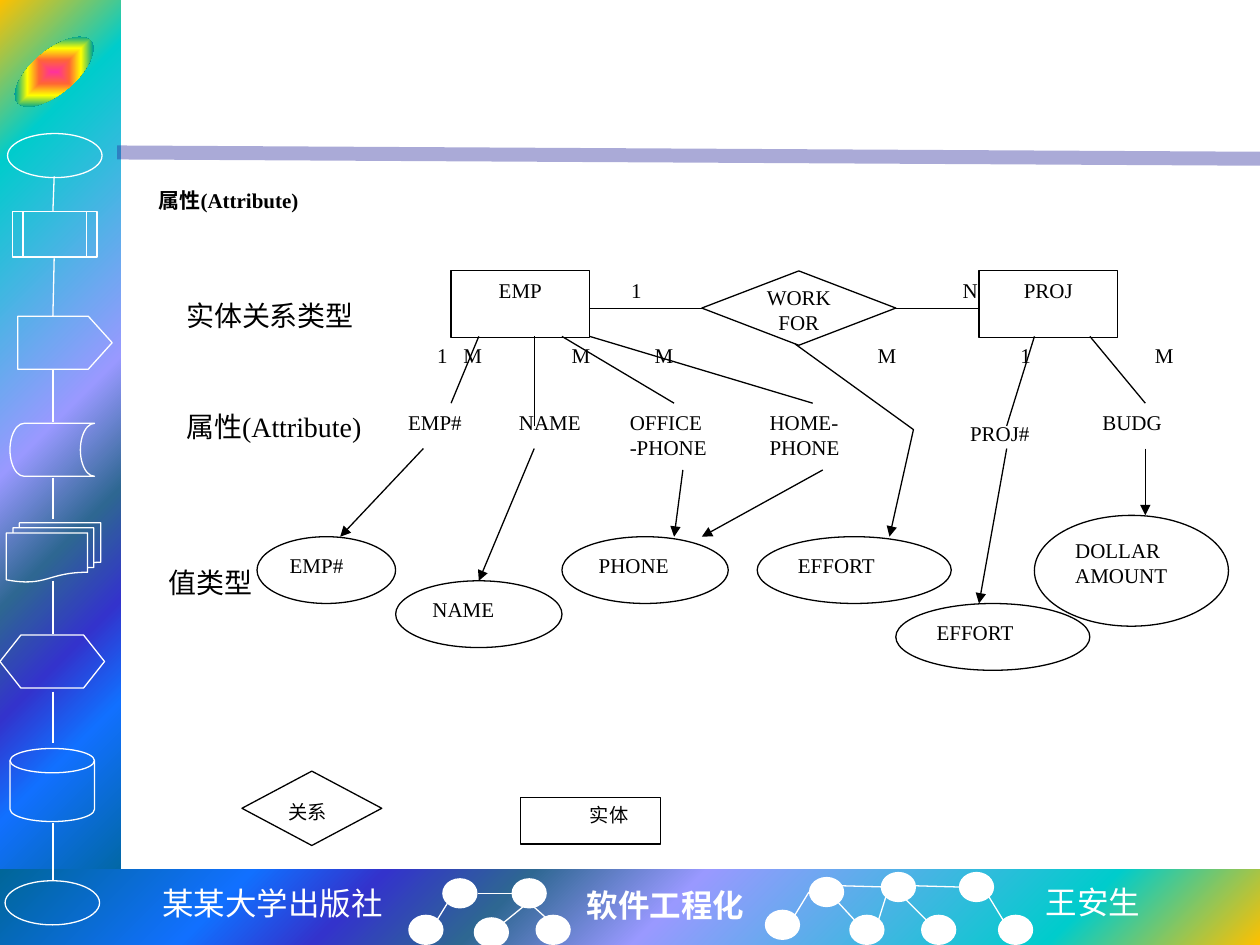
from lxml.etree import SubElement
from pptx import Presentation
from pptx.dml.color import RGBColor
from pptx.enum.shapes import MSO_CONNECTOR, MSO_SHAPE
from pptx.enum.text import MSO_ANCHOR, PP_ALIGN
from pptx.oxml import parse_xml
from pptx.oxml.ns import nsdecls, qn
from pptx.util import Inches, Pt

BLACK, WHITE = "000000", "FFFFFF"
SERIF, CJK = "Times New Roman", "Noto Sans CJK SC"
BAND_STOPS = [(0, "FFC000"), (16, "00CCCC"), (47, "9999FF"), (60, "2E6792"),
              (71, "3333CC"), (81, "1170FF"), (100, "006699")]
BADGE_STOPS = [(0, "FF3399"), (25, "FF6633"), (50, "FFFF00"), (75, "01A78F"), (100, "3366FF")]


def color(value):
    return RGBColor.from_string(value)


def write_text(shape, text, size=12, font=SERIF, ink=BLACK, bold=False, align=PP_ALIGN.LEFT,
               indent=0, wrap=True, anchor=MSO_ANCHOR.TOP, margins=(0.1, 0.05, 0.1, 0.05)):
    frame = shape.text_frame
    frame.word_wrap = wrap
    frame.vertical_anchor = anchor
    frame.margin_left, frame.margin_top, frame.margin_right, frame.margin_bottom = map(Inches, margins)
    for index, line in enumerate(text.split("\n")):
        paragraph = frame.add_paragraph() if index else frame.paragraphs[0]
        paragraph.alignment = align
        if indent:
            paragraph._p.get_or_add_pPr().set("indent", str(Inches(indent)))
        run = paragraph.add_run()
        run.text = line
        run.font.size, run.font.name, run.font.bold = Pt(size), font, bold
        run.font.color.rgb = color(ink)
        SubElement(run._r.get_or_add_rPr(), qn("a:ea")).set("typeface", CJK)


class Diagram:
    def __init__(self, slide, line_width=0.75):
        self.shapes = slide.shapes
        self.line_width = line_width

    def stroke(self, item, ink, width=None, arrow=False, opacity=None):
        item.line.color.rgb = color(ink)
        item.line.width = Pt(width or self.line_width)
        outline = item.line._get_or_add_ln()
        if opacity:
            SubElement(outline.find(".//" + qn("a:srgbClr")), qn("a:alpha")).set("val", str(opacity * 1000))
        if arrow:
            SubElement(outline, qn("a:tailEnd")).set("type", "triangle")

    def shape(self, kind, left, top, width, height, fill=None, line=BLACK, text=None, **style):
        shape = self.shapes.add_shape(kind, *map(Inches, (left, top, width, height)))
        shape.shadow.inherit = False
        if fill:
            shape.fill.solid()
            shape.fill.fore_color.rgb = color(fill)
        else:
            shape.fill.background()
        if line:
            self.stroke(shape, line)
        else:
            shape.line.fill.background()
        if text:
            write_text(shape, text, **style)
        return shape

    def gradient(self, shape, stops, kind, focus):
        stop_xml = "".join(f'<a:gs pos="{position * 1000}"><a:srgbClr val="{value}"/></a:gs>'
                           for position, value in stops)
        edges = " ".join(f'{side}="{value * 1000}"' for side, value in zip("ltrb", focus))
        fill = parse_xml(f'<a:gradFill {nsdecls("a")} rotWithShape="1"><a:gsLst>{stop_xml}</a:gsLst>'
                         f'<a:path path="{kind}"><a:fillToRect {edges}/></a:path></a:gradFill>')
        properties = shape._element.spPr
        properties.replace(properties.find(qn("a:noFill")), fill)

    def text(self, text, left, top, width=0.88, height=0.53, **style):
        box = self.shapes.add_textbox(*map(Inches, (left, top, width, height)))
        write_text(box, text, **style)

    def line(self, x1, y1, x2, y2, ink=BLACK, **style):
        line = self.shapes.add_connector(MSO_CONNECTOR.STRAIGHT, *map(Inches, (x1, y1, x2, y2)))
        self.stroke(line, ink, **style)
        SubElement(line._element.spPr, qn("a:effectLst"))

    def polyline(self, points, **style):
        points = [(Inches(x), Inches(y)) for x, y in points]
        builder = self.shapes.build_freeform(*points[0])
        builder.add_line_segments(points[1:], close=False)
        shape = builder.convert_to_shape()
        shape.shadow.inherit = False
        shape.fill.background()
        self.stroke(shape, BLACK, **style)


presentation = Presentation()
presentation.slide_width, presentation.slide_height = Inches(10), Inches(7.5)
diagram = Diagram(presentation.slides.add_slide(presentation.slide_layouts[6]))

# Gradient bands, rule and badge
for bounds, focus in [((0, 0, 0.96, 7.09), (0, 0, 100, 100)), ((0, 6.9, 10, 0.6), (100, 100, 0, 0))]:
    diagram.gradient(diagram.shape(MSO_SHAPE.RECTANGLE, *bounds, line=None), BAND_STOPS, "circle", focus)
diagram.line(0.93, 1.21, 10, 1.26, ink="262699", width=8, opacity=39)
badge = diagram.shape(MSO_SHAPE.OVAL, 0.05, 0.4, 0.76, 0.34, line=None)
badge.rotation = -40
diagram.gradient(badge, BADGE_STOPS, "rect", (50, 50, 50, 50))

# Flowchart chain in the side band
for kind, *bounds in [
    (MSO_SHAPE.OVAL, 0.06, 1.06, 0.75, 0.35),
    (MSO_SHAPE.FLOWCHART_PREDEFINED_PROCESS, 0.1, 1.68, 0.67, 0.36),
    (MSO_SHAPE.PENTAGON, 0.14, 2.51, 0.75, 0.42),
    (MSO_SHAPE.FLOWCHART_STORED_DATA, 0.08, 3.36, 0.67, 0.42),
    (MSO_SHAPE.FLOWCHART_MULTIDOCUMENT, 0.05, 4.15, 0.75, 0.47),
    (MSO_SHAPE.FLOWCHART_PREPARATION, 0, 5.04, 0.83, 0.42),
    (MSO_SHAPE.FLOWCHART_MAGNETIC_DISK, 0.08, 5.94, 0.67, 0.58),
    (MSO_SHAPE.OVAL, 0.04, 6.99, 0.75, 0.35),
]:
    step = diagram.shape(kind, *bounds, line=WHITE)
    if kind == MSO_SHAPE.PENTAGON:
        step.adjustments[0] = 0.45
for x, top, bottom in [(0.43, 1.4, 1.68), (0.43, 2.05, 2.51), (0.42, 2.93, 3.35), (0.42, 3.79, 4.12),
                       (0.42, 4.61, 5.03), (0.42, 5.49, 5.9), (0.42, 6.53, 6.99)]:
    diagram.line(x, top, 0.42, bottom, ink=WHITE)

# Footer trees and captions
for left, top in [(3.51, 6.97), (4.06, 6.97), (3.24, 7.26), (3.76, 7.28), (4.25, 7.26), (6.07, 7.22),
                  (6.42, 6.96), (6.99, 6.92), (7.61, 6.92), (6.74, 7.26), (7.31, 7.26), (7.92, 7.26)]:
    diagram.shape(MSO_SHAPE.OVAL, left, top, 0.28, 0.24, fill=WHITE, line=None)
for ends in [(3.47, 7.3, 3.55, 7.17), (4, 7.32, 4.16, 7.19), (4.06, 7.09, 3.79, 7.09),
             (4.34, 7.29, 4.24, 7.2), (6.31, 7.26, 6.42, 7.08), (6.68, 7.03, 7.03, 7.04),
             (6.78, 7.3, 6.65, 7.16), (6.97, 7.31, 7.03, 7.12), (7.35, 7.3, 7.15, 7.1),
             (7.26, 7.03, 7.61, 7.04), (7.96, 7.3, 7.85, 7.12)]:
    diagram.line(*ends, ink=WHITE)
for caption, left, top, width, font, bold in [
    ("某某大学出版社", 1.19, 6.97, 1.97, "Courier New", False),
    ("软件工程化", 4.56, 6.98, 1.46, SERIF, True),
    ("王安生", 8.2, 6.96, 0.96, CJK, False),
]:
    diagram.text(caption, left, top, width, 0.4, size=18, font=font, ink=WHITE, bold=bold, wrap=False)

# Heading and row labels
diagram.text("属性(Attribute)", 1.16, 1.44, 2.42, bold=True)
for label, left, top, width in [("实体关系类型", 1.38, 2.32, 1.76), ("属性(Attribute)", 1.38, 3.2, 1.76),
                                ("值类型", 1.24, 4.44, 0.88)]:
    diagram.text(label, left, top, width, size=16)

# Entities, relationship and legend
for name, left in [("EMP", 3.58), ("PROJ", 7.77)]:
    diagram.shape(MSO_SHAPE.RECTANGLE, left, 2.15, 1.1, 0.53, text=name, align=PP_ALIGN.CENTER)
diamond_style = dict(align=PP_ALIGN.CENTER, anchor=MSO_ANCHOR.MIDDLE)
diagram.shape(MSO_SHAPE.DIAMOND, 5.57, 2.15, 1.54, 0.59, text="WORK\nFOR",
              margins=(0, 0.03, 0, 0), **diamond_style)
diagram.shape(MSO_SHAPE.DIAMOND, 1.92, 6.12, 1.11, 0.59, text="关系", size=11,
              margins=(0, 0.05, 0.07, 0), **diamond_style)
diagram.shape(MSO_SHAPE.RECTANGLE, 4.13, 6.33, 1.11, 0.37, text="实体", size=11,
              align=PP_ALIGN.CENTER, indent=0.3)

# Attributes
for name, left, top, width, height in [
    ("EMP#", 3.14, 3.2, 0.88, 0.53), ("NAME", 4.02, 3.2, 0.88, 0.53),
    ("OFFICE -PHONE", 4.9, 3.2, 1.1, 0.71), ("HOME-\nPHONE", 6.01, 3.2, 1.1, 0.71),
    ("PROJ#", 7.6, 3.29, 0.88, 0.53), ("BUDG", 8.65, 3.2, 0.88, 0.53),
]:
    diagram.text(name, left, top, width, height)

# Value types
for name, left, top, width, height in [
    ("EMP#", 2.04, 4.26, 1.1, 0.53), ("NAME", 3.14, 4.61, 1.32, 0.53),
    ("PHONE", 4.46, 4.26, 1.32, 0.53), ("EFFORT", 6.01, 4.26, 1.54, 0.53),
    ("EFFORT", 7.11, 4.79, 1.54, 0.53), ("DOLLAR\nAMOUNT", 8.21, 4.09, 1.54, 0.88),
]:
    diagram.shape(MSO_SHAPE.OVAL, left, top, width, height, text=name)

# Cardinalities
for mark, left, top in [("1", 4.46, 2.15), ("N", 7.11, 2.15), ("1", 2.92, 2.67), ("M", 4.02, 2.67),
                        ("M", 4.68, 2.67), ("M", 6.45, 2.67), ("1", 7.55, 2.67), ("M", 8.65, 2.67)]:
    diagram.text(mark, left, top, align=PP_ALIGN.CENTER, indent=0.3)
diagram.text("M", 3.58, 2.67)

# Links between entities and down to attributes
for ends in [(4.68, 2.45, 5.57, 2.45), (7.11, 2.45, 7.77, 2.45), (3.8, 2.67, 3.58, 3.2),
             (4.24, 2.67, 4.24, 3.38), (4.46, 2.67, 5.35, 3.2), (4.68, 2.67, 6.45, 3.2),
             (8.21, 2.67, 7.99, 3.38), (8.65, 2.67, 9.09, 3.2)]:
    diagram.line(*ends)

# Arrows to value types
for ends in [(3.36, 3.56, 2.7, 4.26), (4.24, 3.56, 3.8, 4.61), (5.42, 3.73, 5.35, 4.26),
             (6.53, 3.73, 5.57, 4.26), (7.99, 3.56, 7.77, 4.79), (9.09, 3.56, 9.09, 4.09)]:
    diagram.line(*ends, arrow=True)
diagram.polyline([(6.31, 2.73), (7.25, 3.41), (7.06, 4.26)], arrow=True)

presentation.save("out.pptx")
